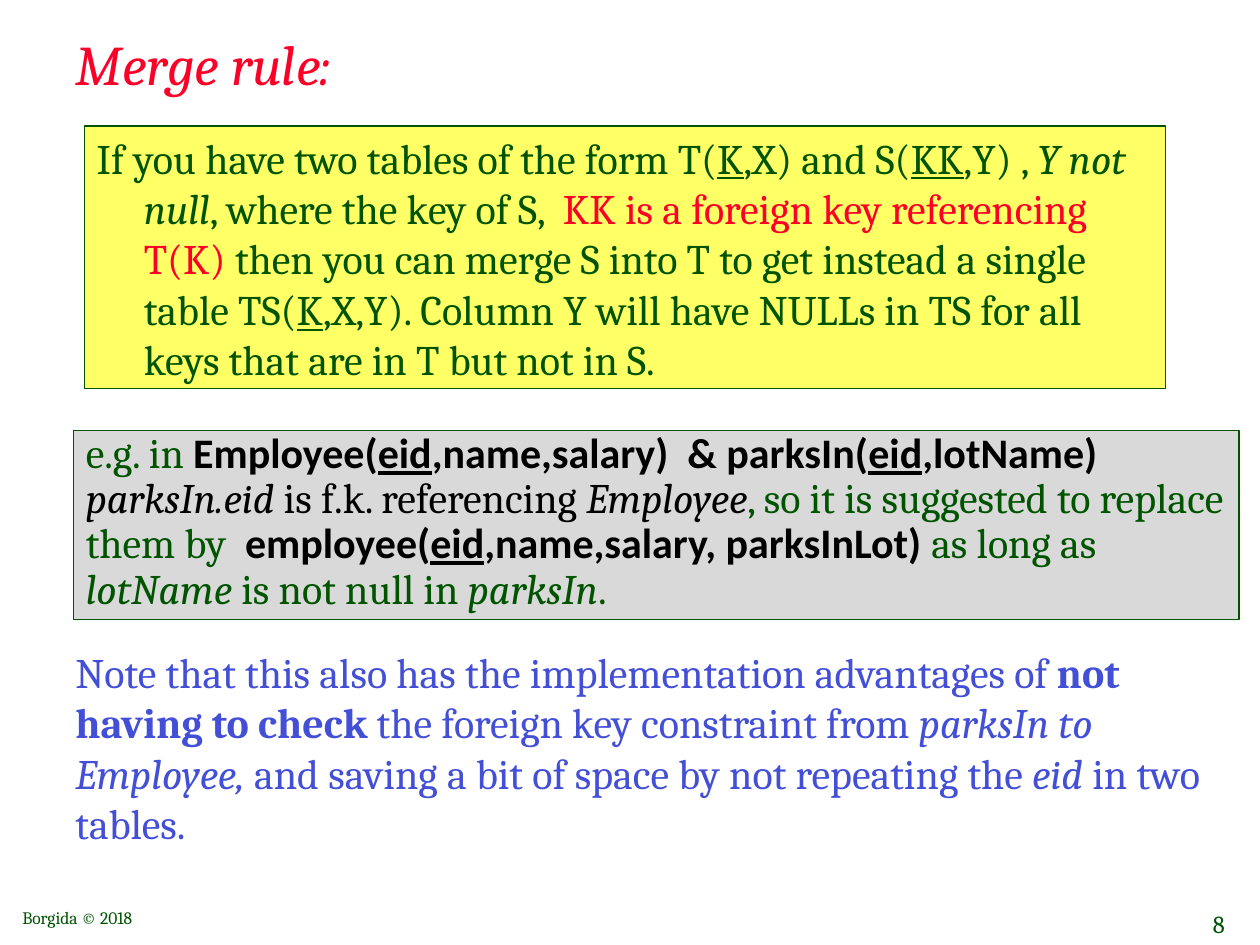
from pptx import Presentation
from pptx.dml.color import RGBColor
from pptx.enum.shapes import MSO_SHAPE
from pptx.enum.text import MSO_ANCHOR, PP_ALIGN
from pptx.util import Cm, Pt

GREEN, RED, BLACK, BLUE = "005400", "FC0128", "000000", "434FD6"
YELLOW, GRAY = "FFFF66", "D9D9D9"


def tint(code):
    return RGBColor.from_string(code)


class Deck:
    def __init__(self, wide, high):
        self.show = Presentation()
        self.show.slide_width, self.show.slide_height = Cm(wide), Cm(high)
        self.slide = self.show.slides.add_slide(self.show.slide_layouts[6])
        self.font = "Cambria"
        self.code = "Calibri"

    def frame(self, shape, anchor, wrap=True):
        frame = shape.text_frame
        frame.word_wrap = wrap
        frame.vertical_anchor = anchor
        return frame

    def text(self, area, anchor=MSO_ANCHOR.TOP, wrap=True):
        box = self.slide.shapes.add_textbox(*map(Cm, area))
        return self.frame(box, anchor, wrap)

    def panel(self, area, fill):
        box = self.slide.shapes.add_shape(MSO_SHAPE.RECTANGLE, *map(Cm, area))
        box.shadow.inherit = False
        box.fill.solid()
        box.fill.fore_color.rgb = tint(fill)
        box.line.color.rgb = tint(GREEN)
        box.line.width = Pt(0.75)
        return self.frame(box, MSO_ANCHOR.TOP)

    def para(self, frame, runs, size=24, color=GREEN, align=PP_ALIGN.LEFT,
             before=0, lines=1.0, hang=0):
        para = frame.paragraphs[0]
        if para.runs:
            para = frame.add_paragraph()
        para.alignment = align
        para.space_before = Pt(before)
        para.line_spacing = lines
        if hang:
            props = para._p.get_or_add_pPr()
            props.set("marL", str(Cm(hang)))
            props.set("indent", str(-Cm(hang)))
        for words, marks, *other in runs:
            run = para.add_run()
            run.text = words
            font = run.font
            font.name = self.code if "c" in marks else self.font
            font.size = Pt(size)
            font.bold = "b" in marks or "c" in marks
            font.italic = "i" in marks
            font.underline = "u" in marks
            font.color.rgb = tint(other[0] if other else color)

    def save(self):
        self.show.save("out.pptx")


def main():
    deck = Deck(25.4, 19.05)
    mid = MSO_ANCHOR.MIDDLE

    title = deck.text((1.27, 0.43, 23.06, 1.7), mid)
    deck.para(title, [("Merge rule:", "i")], size=32, color=RED)

    rule = deck.panel((1.7, 2.54, 21.8, 5.29), YELLOW)
    deck.para(rule, [
        ("If you have two tables of the form T(", ""),
        ("K", "u"),
        (",X) and S(", ""),
        ("KK", "u"),
        (",Y) , ", ""),
        ("Y not null", "i"),
        (", where the key of S,  ", ""),
        ("KK is a foreign key referencing T(K)", "", RED),
        (" then you can merge S into T to get instead a single table TS(", ""),
        ("K", "u"),
        (",X,Y). Column Y will have NULLs in TS for all keys that are in T"
         " but not in S.", ""),
    ], before=4.8, hang=0.95)

    case = deck.panel((1.48, 8.68, 23.5, 3.81), GRAY)
    deck.para(case, [
        ("e.g. in ", ""),
        ("Employee(", "c", BLACK),
        ("eid", "cu", BLACK),
        (",name,salary)  & parksIn(", "c", BLACK),
        ("eid", "cu", BLACK),
        (",lotName)", "c", BLACK),
    ], lines=0.8)
    deck.para(case, [
        ("parksIn.eid", "i", BLACK),
        (" is f.k. referencing ", "", BLACK),
        ("Employee", "i", BLACK),
        (", so it is suggested to replace them by", ""),
        ("  employee(", "c", BLACK),
        ("eid", "cu", BLACK),
        (",name,salary, parksInLot) ", "c", BLACK),
        ("as long as ", ""),
        ("lotName", "i"),
        (" is not null in ", ""),
        ("parksIn", "i"),
        (".", ""),
    ], lines=0.9)

    note = deck.text((1.27, 12.91, 23.5, 4.45))
    deck.para(note, [
        ("Note that this also has the implementation advantages of ", ""),
        ("not having to check", "b"),
        (" the foreign key constraint from ", ""),
        ("parksIn to Employee, ", "i"),
        ("and saving a bit of space by not repeating the ", ""),
        ("eid", "i"),
        (" in two tables.", ""),
    ], color=BLUE, before=4.8)

    foot = deck.text((0.2, 18.16, 7.82, 0.66), mid)
    deck.para(foot, [("Borgida © 2018", "")], size=10)
    page = deck.text((23.85, 18.21, 1.09, 0.84), mid, wrap=False)
    deck.para(page, [("8", "")], size=14, align=PP_ALIGN.RIGHT)

    deck.save()


if __name__ == "__main__":
    main()
